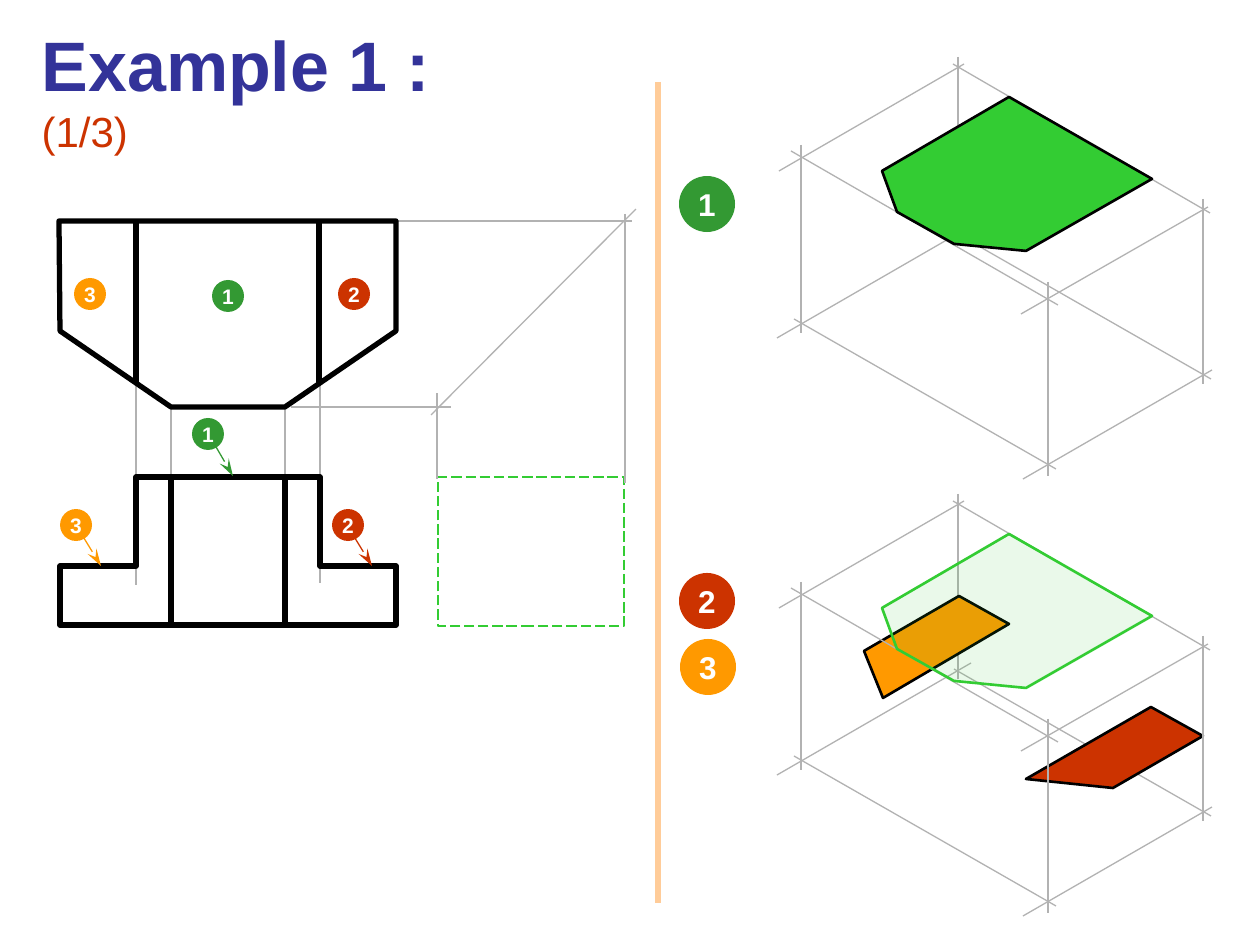
"""Builds the first step of an isometric drawing example."""
from lxml import etree
from pptx import Presentation
from pptx.dml.color import RGBColor
from pptx.enum.dml import MSO_LINE
from pptx.enum.shapes import MSO_CONNECTOR, MSO_SHAPE
from pptx.enum.text import MSO_ANCHOR, MSO_AUTO_SIZE, PP_ALIGN
from pptx.oxml.ns import qn
from pptx.util import Pt

STRAIGHT = MSO_CONNECTOR.STRAIGHT
RECTANGLE, OVAL = MSO_SHAPE.RECTANGLE, MSO_SHAPE.OVAL
LONG_DASH = MSO_LINE.LONG_DASH
LEFT, CENTER = PP_ALIGN.LEFT, PP_ALIGN.CENTER
TOP, MIDDLE = MSO_ANCHOR.TOP, MSO_ANCHOR.MIDDLE
NO_AUTOFIT = MSO_AUTO_SIZE.NONE

SCALE = 914400 / 126
FONT = "Arial"
BLACK = RGBColor(0x00, 0x00, 0x00)
WHITE = RGBColor(0xFF, 0xFF, 0xFF)
NAVY = RGBColor(0x33, 0x33, 0x99)
GRAY = RGBColor(0xB2, 0xB2, 0xB2)
PEACH = RGBColor(0xFF, 0xCC, 0x99)
LIME = RGBColor(0x33, 0xCC, 0x33)
GREEN = RGBColor(0x33, 0x99, 0x33)
RED = RGBColor(0xCC, 0x33, 0x00)
ORANGE = RGBColor(0xFF, 0x99, 0x00)
FACE_COLORS = {1: GREEN, 2: RED, 3: ORANGE}

THIN, MEDIUM, THICK = 0.75, 1.5, 3
SMALL_BADGE, LARGE_BADGE = 32, 56
VIEW_DROP = 437

TOP_VIEW = [(59, 221), (60, 331), (171, 407), (285, 407), (396, 331), (396, 221)]
FRONT_VIEW = [(60, 625), (60, 566), (136, 566), (136, 477),
              (320, 477), (320, 566), (396, 566), (396, 625)]
VIEW_EDGES = [(136, 221, 136, 383), (319, 221, 319, 383),
              (171, 477, 171, 625), (285, 477, 285, 625)]
PROJECTIONS = [(171, 407, 171, 498), (285, 407, 285, 498),
               (136, 382, 136, 585), (320, 384, 320, 583),
               (291, 407, 451, 407), (437, 479, 437, 393),
               (431, 415, 636, 209), (398, 221, 632, 221),
               (625, 214, 625, 483)]
HIDDEN_EDGES = [(958, 57, 958, 242), (971, 226, 777, 338), (954, 232, 1211, 379)]
FRONT_EDGES = [(1203, 199, 1203, 384), (953, 64, 1210, 213),
               (801, 145, 801, 333), (1048, 282, 1048, 476),
               (1208, 207, 1021, 314), (794, 319, 1056, 469),
               (1212, 370, 1023, 479), (964, 64, 779, 171),
               (791, 151, 1058, 305)]
FACE_1 = [(1026, 251), (954, 244), (897, 212), (882, 171), (1009, 97), (1152, 179)]
FACE_2 = [(1151, 707), (1203, 736), (1113, 788), (1026, 779)]
FACE_3 = [(883, 698), (864, 651), (959, 596), (1009, 624)]
VIEW_BADGES = [(2, 354, 294), (3, 90, 294), (1, 228, 296)]
STEP_BADGES = [(1, 707, 204), (2, 707, 601), (3, 708, 667)]
POINTERS = [(1, 208, 434, 212, 440, 233, 476),
            (2, 348, 525, 350, 530, 372, 566),
            (3, 76, 525, 79, 530, 101, 566)]


def px(length):
    """Turn px into EMU."""
    return round(length * SCALE)


def add_line(shapes, ends, color, width, arrow=False):
    """Draw a straight line, with an optional arrowhead at its end."""
    line = shapes.add_connector(STRAIGHT, *map(px, ends))
    line.line.color.rgb = color
    line.line.width = Pt(width)
    properties = line.element.spPr
    if arrow:
        tail = etree.SubElement(properties.find(qn("a:ln")), qn("a:tailEnd"))
        tail.set("type", "stealth")
        tail.set("w", "med")
        tail.set("len", "lg")
    etree.SubElement(properties, qn("a:effectLst"))


def add_lines(shapes, edges, color, width, drop=0):
    """Draw a set of lines, moved down by drop."""
    for x1, y1, x2, y2 in edges:
        add_line(shapes, (x1, y1 + drop, x2, y2 + drop), color, width)


def add_polygon(shapes, corners, edge_color, width, fill=None, alpha=None, drop=0):
    """Draw a closed outline, with an optional and possibly transparent fill."""
    start, *others = [(x, y + drop) for x, y in corners]
    builder = shapes.build_freeform(*start, scale=SCALE)
    builder.add_line_segments(others, close=True)
    polygon = builder.convert_to_shape()
    polygon.shadow.inherit = False
    polygon.line.color.rgb = edge_color
    polygon.line.width = Pt(width)
    if fill is None:
        polygon.fill.background()
    else:
        polygon.fill.solid()
        polygon.fill.fore_color.rgb = fill
    if alpha is not None:
        solid = polygon.element.spPr.find(qn("a:solidFill"))
        transparency = etree.SubElement(solid.find(qn("a:srgbClr")), qn("a:alpha"))
        transparency.set("val", str(alpha * 1000))


def add_badge(shapes, number, x, y, size, font_size):
    """Draw a numbered disc centred on x, y."""
    disc = shapes.add_shape(OVAL, px(x - size / 2), px(y - size / 2), px(size), px(size))
    disc.shadow.inherit = False
    disc.fill.solid()
    disc.fill.fore_color.rgb = FACE_COLORS[number]
    disc.line.fill.background()
    frame = disc.text_frame
    frame.word_wrap = False
    frame.vertical_anchor = MIDDLE
    label = frame.paragraphs[0]
    label.text = str(number)
    label.alignment = CENTER
    label.font.name = FONT
    label.font.size = Pt(font_size)
    label.font.bold = True
    label.font.color.rgb = WHITE


def add_title(slide):
    """Fill the title with the example name and its step."""
    title = slide.shapes.title
    title.left, title.top, title.width, title.height = map(px, (29, 15, 519, 97))
    frame = title.text_frame
    frame.word_wrap = False
    frame.auto_size = NO_AUTOFIT
    frame.vertical_anchor = TOP
    heading = frame.paragraphs[0]
    heading.alignment = LEFT
    for text, size, bold, color in (("Example 1 : ", 40, True, NAVY),
                                    ("(1/3)", 24, False, RED)):
        part = heading.add_run()
        part.text = text
        part.font.name = FONT
        part.font.size = Pt(size)
        part.font.bold = bold
        part.font.color.rgb = color


def add_side_view_frame(shapes):
    """Draw the dashed space of the missing side view."""
    frame = shapes.add_shape(RECTANGLE, *map(px, (438, 477, 186, 149)))
    frame.shadow.inherit = False
    frame.fill.background()
    frame.line.color.rgb = LIME
    frame.line.width = Pt(THIN)
    frame.line.dash_style = LONG_DASH


def add_flat_views(shapes):
    """Draw the top and front views with their projections and numbers."""
    add_side_view_frame(shapes)
    add_lines(shapes, PROJECTIONS, GRAY, THIN)
    for outline in (TOP_VIEW, FRONT_VIEW):
        add_polygon(shapes, outline, BLACK, THICK)
    add_lines(shapes, VIEW_EDGES, BLACK, THICK)
    for number, x, y in VIEW_BADGES:
        add_badge(shapes, number, x, y, SMALL_BADGE, 12)
    for number, x, y, *ends in POINTERS:
        add_line(shapes, ends, FACE_COLORS[number], THIN, arrow=True)
        add_badge(shapes, number, x, y, SMALL_BADGE, 12)


def add_isometric_steps(shapes):
    """Draw the box with face 1, then again with faces 2 and 3."""
    box = shapes.add_group_shape()
    add_lines(box.shapes, HIDDEN_EDGES + FRONT_EDGES, GRAY, THIN)
    add_polygon(shapes, FACE_1, BLACK, MEDIUM, LIME)
    add_lines(shapes, HIDDEN_EDGES, GRAY, THIN, VIEW_DROP)
    add_polygon(shapes, FACE_3, BLACK, MEDIUM, ORANGE)
    add_polygon(shapes, FACE_2, BLACK, MEDIUM, RED)
    add_lines(shapes, FRONT_EDGES, GRAY, THIN, VIEW_DROP)
    add_polygon(shapes, FACE_1, LIME, MEDIUM, LIME, alpha=10, drop=VIEW_DROP)
    for number, x, y in STEP_BADGES:
        add_badge(shapes, number, x, y, LARGE_BADGE, 18)


def main():
    """Build and save the slide."""
    deck = Presentation()
    deck.slide_width, deck.slide_height = px(1260), px(945)
    slide = deck.slides.add_slide(deck.slide_layouts[5])
    add_title(slide)
    add_line(slide.shapes, (658, 82, 658, 903), PEACH, THICK)
    add_flat_views(slide.shapes)
    add_isometric_steps(slide.shapes)
    deck.save("out.pptx")


if __name__ == "__main__":
    main()
